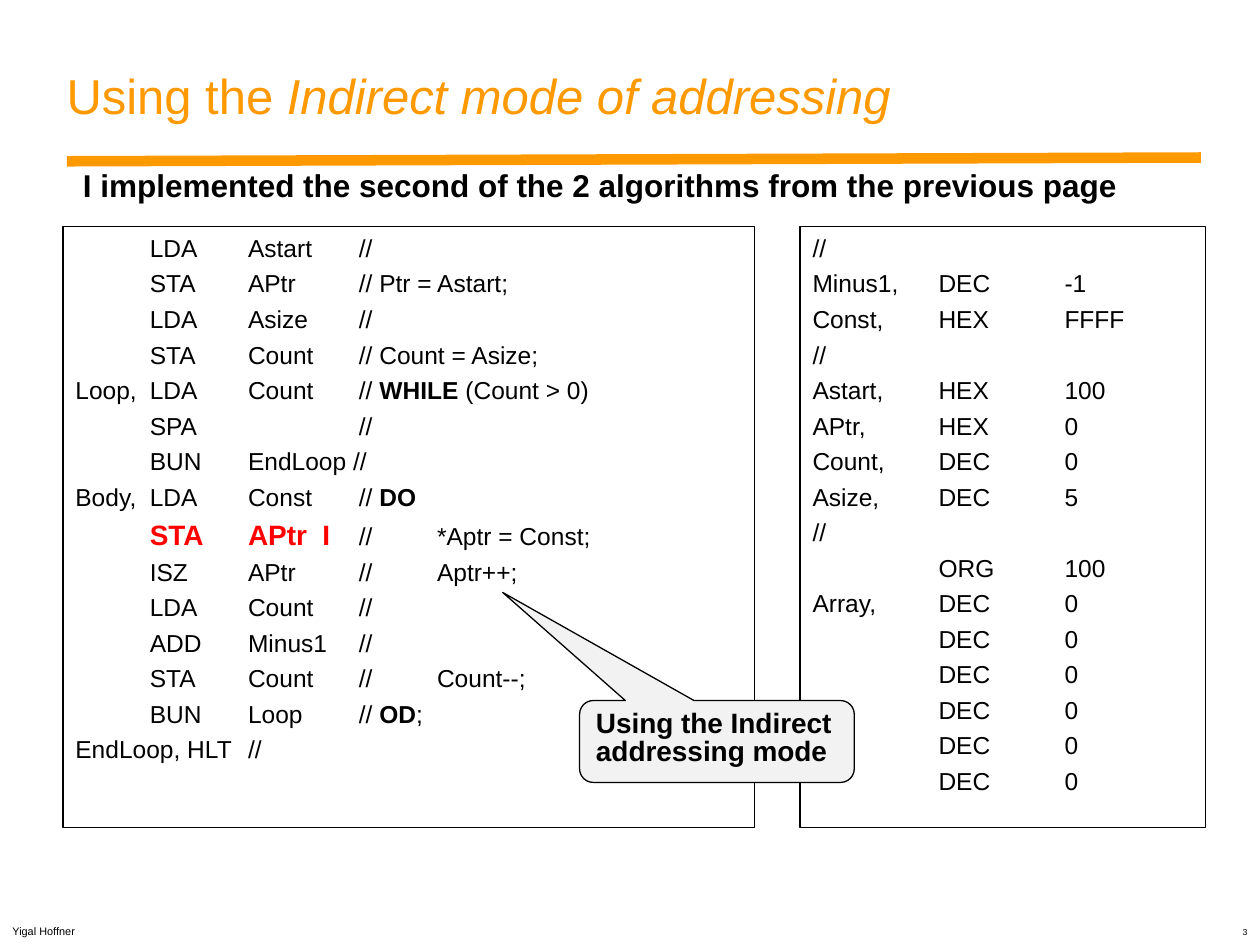
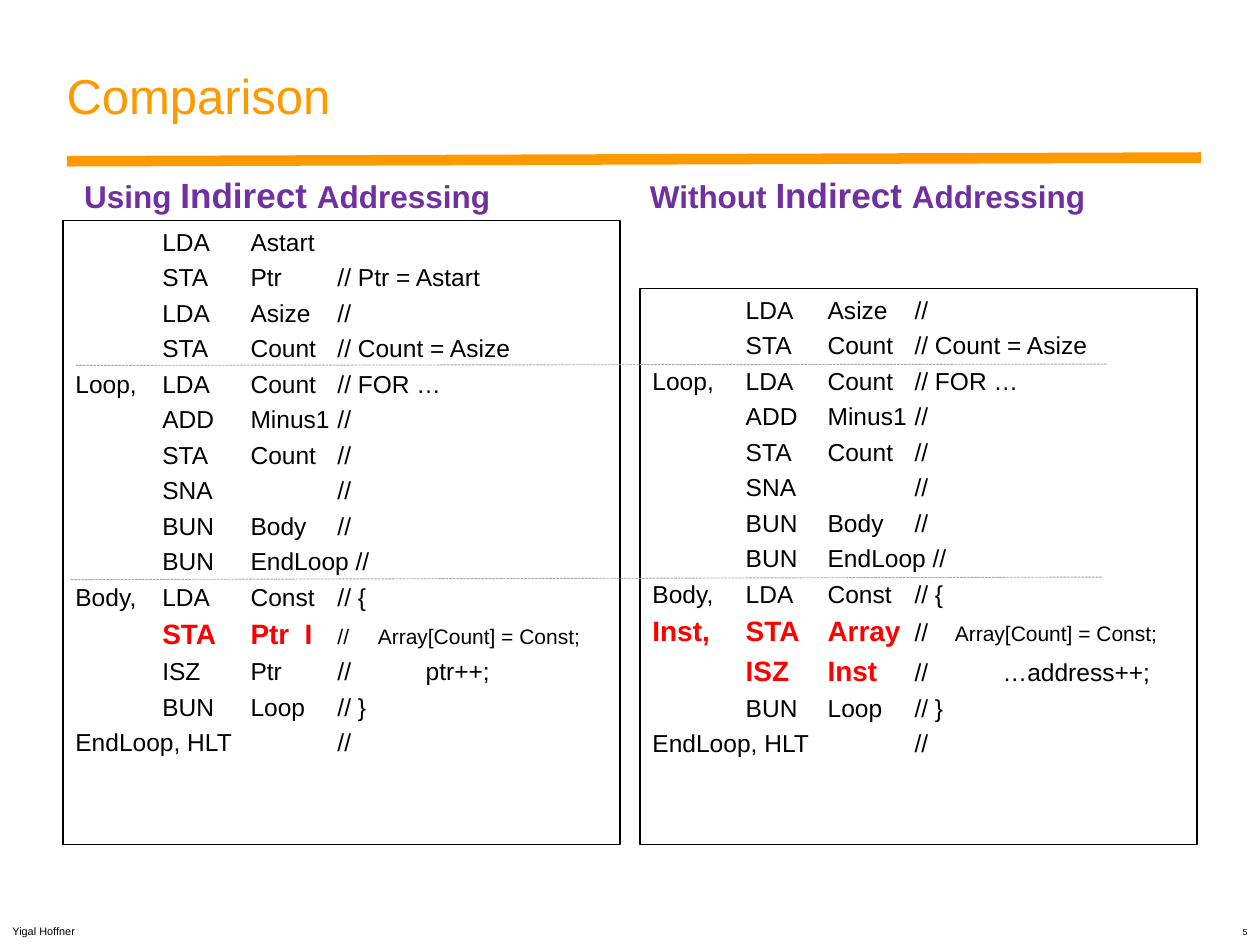
from dataclasses import dataclass

from lxml import etree
from pptx import Presentation
from pptx import util as u
from pptx.dml.color import RGBColor
from pptx.enum import dml, shapes, text
from pptx.oxml import ns

WIDTH, HEIGHT = u.Inches(10), u.Inches(7.5)
COLS, ROWS = 100, 75
FONT = "Arial"
COLORS = {
    "orange": "FF9900",
    "black": "000000",
    "red": "FF0000",
    "purple": "7030A0",
    "pale": "F2F2F2",
    "gray": "A6A6A6",
}
KEY = {"size": 16, "color": "red", "bold": True}
SMALL = {"size": 12}
BOLD = {"bold": True}


@dataclass
class Row:
    runs: list
    extra_tabs: tuple = ()
    before: float = 3.5


def rgb(name):
    return RGBColor.from_string(COLORS[name])


def x(cols):
    return round(WIDTH * cols / COLS)


def y(rows):
    return round(HEIGHT * rows / ROWS)


def place(box):
    left, top, width, height = box
    return x(left), y(top), x(width), y(height)


def set_tabs(p, stops):
    tabs = etree.SubElement(p._p.get_or_add_pPr(), ns.qn("a:tabLst"))
    for stop in sorted(stops):
        etree.SubElement(tabs, ns.qn("a:tab"), pos=str(u.Inches(stop)), algn="l")


def add_run(p, words, size=14, color="black", bold=False, italic=False):
    r = p.add_run()
    r.text = words
    r.font.name = FONT
    r.font.size = u.Pt(size)
    r.font.bold = bold
    r.font.italic = italic
    r.font.color.rgb = rgb(color)


def write(p, runs, before=0, leading=None, align="LEFT", tabs=(), **style):
    p.alignment = getattr(text.PP_ALIGN, align)
    p.space_before = u.Pt(before)
    if leading:
        p.line_spacing = u.Pt(leading)
    if tabs:
        set_tabs(p, tabs)
    for run in [runs] if isinstance(runs, str) else runs:
        words, own = (run, {}) if isinstance(run, str) else run
        add_run(p, words, **{**style, **own})


def add_label(s, box, runs, anchor="TOP", wrap=True, **style):
    tf = s.shapes.add_textbox(*place(box)).text_frame
    tf.word_wrap = wrap
    tf.vertical_anchor = getattr(text.MSO_ANCHOR, anchor)
    write(tf.paragraphs[0], runs, **style)


def add_heading(s, box, runs, color="black"):
    add_label(s, box, runs, wrap=False, before=4.5, size=18, color=color, bold=True)


def add_outlined(s, kind, box, fill=None):
    sp = s.shapes.add_shape(kind, *place(box))
    sp.shadow.inherit = False
    if fill:
        sp.fill.solid()
        sp.fill.fore_color.rgb = rgb(fill)
    else:
        sp.fill.background()
    sp.line.color.rgb = rgb("black")
    sp.line.width = u.Pt(0.75)
    sp.text_frame.word_wrap = True
    sp.text_frame.vertical_anchor = text.MSO_ANCHOR.TOP
    return sp


def add_code(s, box, rows, tabs):
    tf = add_outlined(s, shapes.MSO_SHAPE.RECTANGLE, box).text_frame
    for i, row in enumerate(rows):
        row = row if isinstance(row, Row) else Row(row)
        p = tf.add_paragraph() if i else tf.paragraphs[0]
        write(p, row.runs, before=row.before, tabs=(*tabs, *row.extra_tabs))


def add_callout(s, box, words, tip):
    sp = add_outlined(s, shapes.MSO_SHAPE.ROUNDED_RECTANGULAR_CALLOUT, box, fill="pale")
    for i, value in enumerate((*tip, 0.167)):
        sp.adjustments[i] = value
    write(sp.text_frame.paragraphs[0], words, leading=16, size=16, bold=True)


def add_line(s, start, end, color, width, dash=None):
    line = s.shapes.add_connector(
        shapes.MSO_CONNECTOR.STRAIGHT, x(start[0]), y(start[1]), x(end[0]), y(end[1])
    )
    line.line.color.rgb = rgb(color)
    line.line.width = u.Pt(width)
    if dash:
        line.line.dash_style = dash
    etree.SubElement(line.element.spPr, ns.qn("a:effectLst"))


def add_page(prs, title, number):
    s = prs.slides.add_slide(prs.slide_layouts[6])
    add_line(s, (5.3, 12.8), (95.3, 12.5), "orange", 6)
    add_label(s, (4.3, 1.3, 92, 12.5), title, anchor="MIDDLE", size=28, color="orange")
    add_label(s, (0, 72.9, 18.2, 2.1), "Yigal Hoffner", size=6.2)
    add_label(s, (91.8, 73.1, 8.2, 1.9), number, align="RIGHT", size=5)
    return s


def indirect_mode(prs):
    title = ["Using the ", ("Indirect mode of addressing", {"italic": True})]
    s = add_page(prs, title, "3")
    program = [
        "\tLDA\tAstart\t//",
        "\tSTA\tAPtr\t// Ptr = Astart;",
        "\tLDA\tAsize\t//",
        "\tSTA\tCount\t// Count = Asize;",
        ["Loop,\tLDA\tCount\t// ", ("WHILE", BOLD), " (Count > 0)"],
        "\tSPA\t\t//",
        "\tBUN\tEndLoop //",
        ["Body,\tLDA\tConst\t// ", ("DO", BOLD)],
        Row(["\t", ("STA\tAPtr\tI", KEY), "\t//\t*Aptr = Const;"], (1.96,)),
        "\tISZ\tAPtr\t//\tAptr++;",
        "\tLDA\tCount\t//",
        "\tADD\tMinus1\t//",
        "\tSTA\tCount\t//\tCount--;",
        ["\tBUN\tLoop\t// ", ("OD", BOLD), ";"],
        "EndLoop, HLT\t//",
    ]
    data = [
        "//",
        "Minus1,\tDEC\t-1",
        "Const,\tHEX\tFFFF",
        "//",
        "Astart,\tHEX\t100",
        "APtr,\tHEX\t0",
        "Count,\tDEC\t0",
        "Asize,\tDEC\t5",
        "//",
        "\tORG\t100",
        "Array,\tDEC\t0",
        *["\tDEC\t0"] * 5,
    ]
    add_code(s, (5, 18, 54.9, 47.7), program, (0.59, 1.37, 2.25, 2.87))
    add_code(s, (63.5, 18, 32.2, 47.7), data, (1, 2))
    add_callout(s, (46, 55.6, 21.8, 6.5), "Using the Indirect addressing mode", (-0.78, -1.82))
    add_heading(s, (5.6, 12.7, 84.8, 4),
                "I implemented the second of the 2 algorithms from the previous page")


def comparison(prs):
    s = add_page(prs, "Comparison", "5")
    count_setup = ["\tLDA\tAsize\t//", "\tSTA\tCount\t// Count = Asize"]
    loop = [
        "Loop,\tLDA\tCount\t// FOR …",
        "\tADD\tMinus1\t//",
        "\tSTA\tCount\t//",
        "\tSNA\t\t//",
        "\tBUN\tBody\t//",
        "\tBUN\tEndLoop //",
        "Body,\tLDA\tConst\t// {",
    ]
    ending = ["\tBUN\tLoop\t// }", "EndLoop, HLT\t\t//"]
    store = "Array[Count] = Const;"
    with_indirect = [
        "\tLDA\tAstart",
        "\tSTA\tPtr\t// Ptr = Astart",
        *count_setup,
        *loop,
        Row(["\t", ("STA\tPtr\tI", KEY), "\t", ("//\t" + store, SMALL)], (1.82, 2.4), 3),
        "\tISZ\tPtr\t//\tptr++;",
        *ending,
    ]
    without_indirect = [
        *count_setup,
        *loop,
        Row([("Inst,\tSTA\tArray", KEY), "\t//\t", (store, SMALL)], (2.4,), 3),
        ["\t", ("ISZ\tInst", KEY), "\t//\t…address++;"],
        *ending,
    ]
    columns = (1.39, 2.08, 2.78)
    add_code(s, (5, 17.5, 44.2, 49.5), with_indirect, (0.69, *columns))
    add_code(s, (50.8, 22.9, 44.2, 44.1), without_indirect, (0.74, *columns))
    for word, left, width in (("Using ", 5.7, 34.2), ("Without ", 50.6, 36.6)):
        add_heading(s, (left, 13.3, width, 4.4),
                    [word, ("Indirect ", {"size": 20}), "Addressing"], color="purple")
    for left, top, drop in ((6, 29, 0.1), (5.6, 46, 0.2)):
        add_line(s, (left, top), (left + 81.9, top - drop), "gray", 0.5,
                 dml.MSO_LINE.SQUARE_DOT)


def main():
    prs = Presentation()
    prs.slide_width, prs.slide_height = WIDTH, HEIGHT
    indirect_mode(prs)
    comparison(prs)
    prs.save("out.pptx")


if __name__ == "__main__":
    main()
